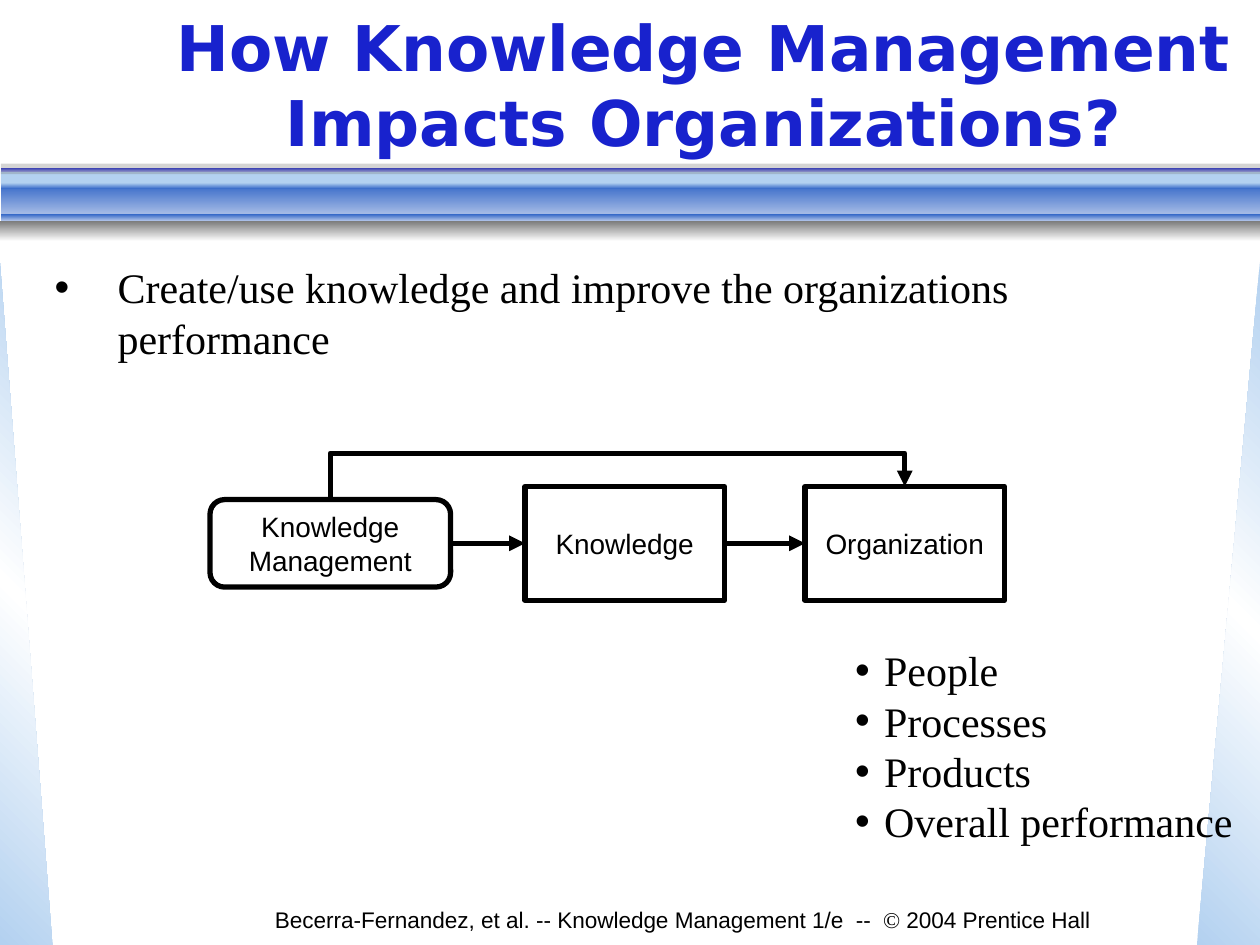
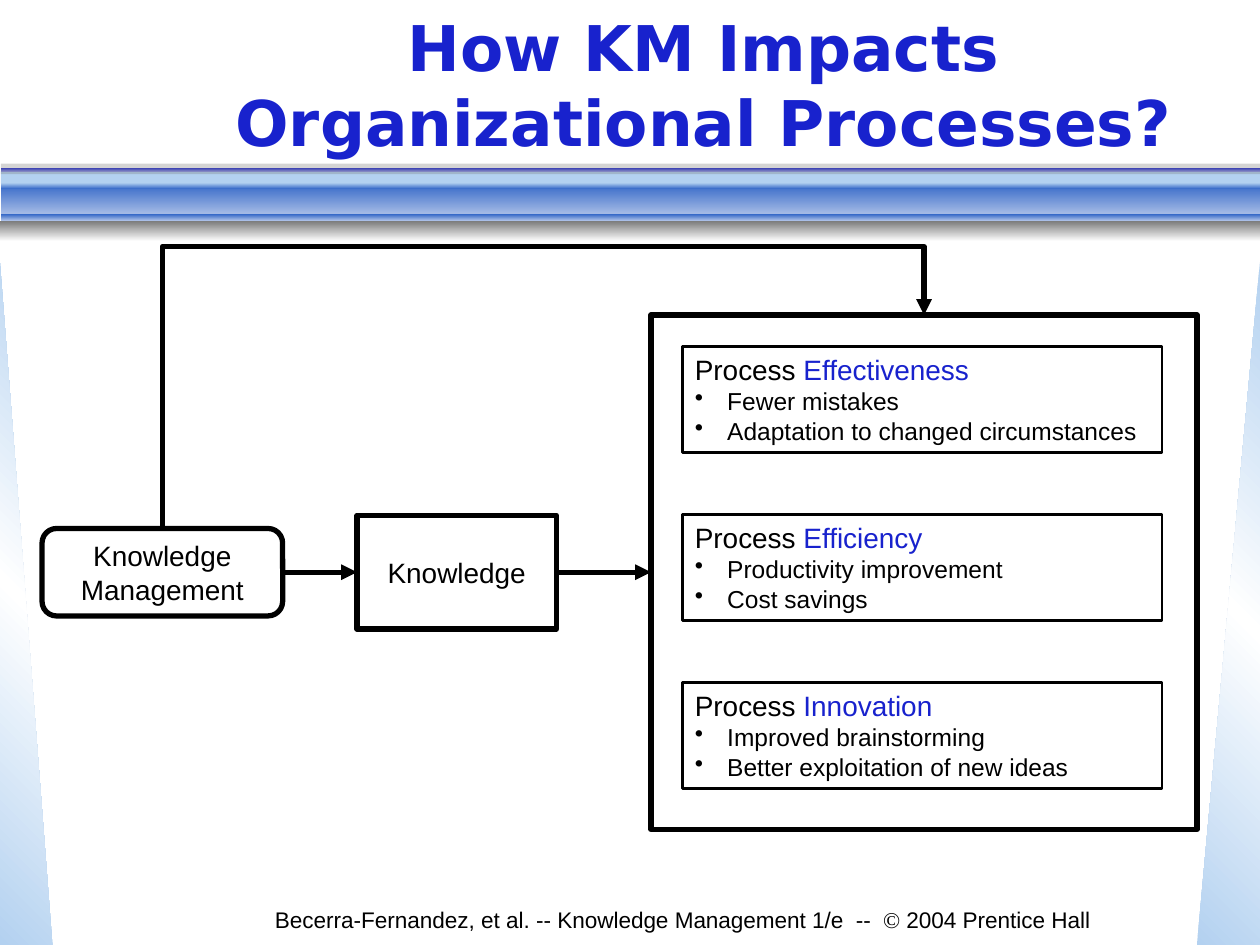
import pptx
import pptx.dml.color
import pptx.enum.shapes
import pptx.enum.text
import pptx.oxml.ns
import pptx.util
from dataclasses import dataclass
from lxml import etree

Pt = pptx.util.Pt
qn = pptx.oxml.ns.qn
Shape = pptx.enum.shapes.MSO_SHAPE
Link = pptx.enum.shapes.MSO_CONNECTOR
Align = pptx.enum.text.PP_ALIGN
Anchor = pptx.enum.text.MSO_ANCHOR
TOP, LEFT, RIGHT = 0, 1, 3


@dataclass(frozen=True)
class Theme:
    ink: str = "000000"
    blue: str = "1822CD"
    lilac: str = "878DE5"
    sky: str = "B3D1F0"
    mid: str = "3568C7"
    pale: str = "A9BEE7"
    grey: str = "777777"
    white: str = "FFFFFF"
    head: str = "DejaVu Sans"
    sans: str = "Arial"
    serif: str = "Times New Roman"
    title: float = 36
    list: float = 24
    label: float = 16
    item: float = 14
    foot: float = 12.9
    thick: float = 3
    thin: float = 1.5


T = Theme()

# Content
IMPACT = "How Knowledge Management Impacts Organizations?"
PROCESS = "How KM Impacts Organizational Processes?"
GOAL = ["Create/use knowledge and improve the organizations performance"]
AREAS = ["People", "Processes", "Products", "Overall performance"]
GAINS = [
    ("Effectiveness", ["Fewer mistakes", "Adaptation to changed circumstances"]),
    ("Efficiency", ["Productivity improvement", "Cost savings"]),
    ("Innovation", ["Improved brainstorming", "Better exploitation of new ideas"]),
]
FOOTER = [
    ("Becerra-Fernandez, et al. -- Knowledge Management 1/e  --  ", T.sans),
    ("©", T.serif),
    (" 2004 Prentice Hall", T.sans),
]

# Left, top, width, height
TITLE_BOX = (90, 6, 624, 84)
FOOT_BOX = (108, 516, 564, 24)
GOAL_BOX = (24, 146, 648, 65)
AREA_BOX = (462, 372, 256, 108)
GAIN_BOX = (372, 180, 312, 294)
KM_SIZE = (137.5, 50)
BOX_SIZE = (114, 65)

# Master art: top, height, gradient colours
BANDS = [
    (98, 7, [T.sky]),
    (105, 18, [T.mid, T.pale]),
    (96, 2, [T.blue, T.lilac]),
    (122.5, 3.5, [T.mid, T.pale]),
    (104.5, 3.5, [T.sky, T.mid]),
    (126, 12, [T.grey, T.white]),
    (93.5, 6, [T.grey]),
]
WEDGES = [(0, 30, 315), (684, 36, 45)]


def put(obj, **vals):
    for key, val in vals.items():
        setattr(obj, key, val)


def rgb(code):
    return pptx.dml.color.RGBColor.from_string(code)


def node(parent, tag, **attrs):
    return etree.SubElement(parent, qn(tag), attrs)


def place(shape, box):
    put(shape, **dict(zip(("left", "top", "width", "height"), map(Pt, box))))


def form(slide, kind, box, weight=0):
    """Add an unfilled shape, outlined when it has a line weight."""
    shape = slide.shapes.add_shape(kind, *map(Pt, box))
    shape.shadow.inherit = False
    shape.fill.background()
    if weight:
        shape.line.color.rgb = rgb(T.ink)
        shape.line.width = Pt(weight)
    else:
        shape.line.fill.background()
    return shape


def paint(shape, colours, angle=90):
    """Fill with one colour or with evenly spaced gradient stops."""
    if len(colours) == 1:
        shape.fill.solid()
        shape.fill.fore_color.rgb = rgb(colours[0])
        return
    shape.fill.gradient()
    stops = next(shape.element.iter(qn("a:gsLst")))
    for old in list(stops):
        stops.remove(old)
    for n, code in enumerate(colours):
        stop = node(stops, "a:gs", pos=str(n * 100000 // (len(colours) - 1)))
        node(stop, "a:srgbClr", val=code)
    next(shape.element.iter(qn("a:lin"))).set("ang", str(angle * 60000))


def setup(frame, anchor, inset=7.2):
    put(frame, word_wrap=True, vertical_anchor=anchor,
        auto_size=pptx.enum.text.MSO_AUTO_SIZE.NONE,
        margin_left=Pt(inset), margin_right=Pt(inset),
        margin_top=Pt(inset / 2), margin_bottom=Pt(inset / 2))


def para(frame, runs, size, first=False, bold=False, align=Align.LEFT,
         hang=None, left=0, space=1):
    """Write (text, font, colour) runs; a hang sets a bulleted indent."""
    line = frame.paragraphs[0] if first else frame.add_paragraph()
    if hang:
        props = line._p.get_or_add_pPr()
        props.set("marL", str(Pt(left)))
        props.set("indent", str(-Pt(hang)))
        node(props, "a:buChar", char="•")
    put(line, alignment=align, line_spacing=space, space_before=Pt(0))
    for text, font, colour in runs:
        run = line.add_run()
        run.text = text
        put(run.font, name=font, size=Pt(size), bold=bold)
        run.font.color.rgb = rgb(colour)


def bullets(shape, box, items, anchor, left, hang):
    place(shape, box)
    setup(shape.text_frame, anchor)
    for n, text in enumerate(items):
        para(shape.text_frame, [(text, T.serif, T.ink)], T.list,
             first=n == 0, left=left, hang=hang)


def label(slide, text, left, mid, size, kind=Shape.RECTANGLE):
    """Add a labelled box centred on the height mid."""
    wide, high = size
    shape = form(slide, kind, (left, mid - high / 2, wide, high), T.thick)
    setup(shape.text_frame, Anchor.MIDDLE)
    para(shape.text_frame, [(text, T.sans, T.ink)], T.label,
         first=True, align=Align.CENTER)
    return shape


def dress(line):
    """Give a connector its line, arrowhead and no shadow."""
    line.line.color.rgb = rgb(T.ink)
    line.line.width = Pt(T.thick)
    node(line.line._get_or_add_ln(), "a:tailEnd", type="triangle")
    node(line.element.spPr, "a:effectLst")


def arrow(slide, start, end):
    line = slide.shapes.add_connector(Link.STRAIGHT, 0, 0, 0, 0)
    line.begin_connect(start, RIGHT)
    line.end_connect(end, LEFT)
    dress(line)


def bypass(slide, start, end, level):
    """Run an elbow from top to top by way of the height level."""
    x1, x2 = (s.left + s.width // 2 for s in (start, end))
    wide, high = start.top - end.top, x2 - x1
    left = (x1 + x2 - wide) // 2
    top = (start.top + end.top - high) // 2
    line = slide.shapes.add_connector(
        Link.ELBOW, left + wide, top + high, left, top)
    line.element.spPr.find(qn("a:xfrm")).set("rot", str(90 * 60000))
    geom = line.element.spPr.find(qn("a:prstGeom"))
    guides = geom.find(qn("a:avLst"))
    if guides is None:
        guides = node(geom, "a:avLst")
    turn = (start.top - Pt(level)) * 100000 // wide
    node(guides, "a:gd", name="adj1", fmla=f"val {turn}")
    dress(line)


def chain(slide, left, mid):
    """Add the two boxes that open both diagrams."""
    source = label(slide, "Knowledge Management", left, mid, KM_SIZE,
                   Shape.ROUNDED_RECTANGLE)
    know = label(slide, "Knowledge", left + 180, mid, BOX_SIZE)
    arrow(slide, source, know)
    return source, know


def adorn(deck, slide):
    """Draw the wedges and bands, then move them to the slide master."""
    art = []
    for left, wide, angle in WEDGES:
        wedge = form(slide, Shape.RIGHT_TRIANGLE, (left, 150, wide, 390))
        paint(wedge, [T.sky, T.white, T.sky], angle)
        if left:
            wedge.element.spPr.find(qn("a:xfrm")).set("flipH", "1")
        art.append(wedge)
    for top, high, colours in BANDS:
        left = 0 if T.white in colours else 0.5
        band = form(slide, Shape.RECTANGLE, (left, top, 720 - left, high))
        paint(band, colours)
        art.append(band)
    tint = next(art[-1].element.iter(qn("a:srgbClr")))
    node(tint, "a:alpha", val="31000")
    for n, shape in enumerate(art):
        shape.element.nvSpPr.cNvPr.set("id", str(50 + n))
        deck.slide_master.shapes.element.append(shape.element)


def start(deck, layout, title):
    """Add a slide with its title and footer."""
    slide = deck.slides.add_slide(deck.slide_layouts[layout])
    head = slide.shapes.title
    place(head, TITLE_BOX)
    setup(head.text_frame, Anchor.MIDDLE, 0)
    para(head.text_frame, [(title, T.head, T.blue)], T.title,
         first=True, bold=True, align=Align.CENTER)
    foot = slide.shapes.add_textbox(*map(Pt, FOOT_BOX)).text_frame
    setup(foot, Anchor.TOP)
    para(foot, [(text, font, T.ink) for text, font in FOOTER], T.foot,
         first=True, align=Align.CENTER, space=0.9)
    return slide


def impact(deck):
    slide = start(deck, 3, IMPACT)
    adorn(deck, slide)
    goal, areas = list(slide.placeholders)[1:3]
    bullets(goal, GOAL_BOX, GOAL, Anchor.TOP, 36, 36)
    bullets(areas, AREA_BOX, AREAS, Anchor.MIDDLE, 36, 16.5)
    mid = 310.5
    source, know = chain(slide, 120, mid)
    firm = label(slide, "Organization", 460, mid, BOX_SIZE)
    arrow(slide, know, firm)
    bypass(slide, source, firm, 259)


def process(deck):
    slide = start(deck, 5, PROCESS)
    left, top, wide, high = GAIN_BOX
    source, know = chain(slide, 24, top + high / 2)
    group = form(slide, Shape.RECTANGLE, GAIN_BOX, T.thick)
    arrow(slide, know, group)
    bypass(slide, source, group, 141)
    for n, (name, items) in enumerate(GAINS):
        box = (left + 18, top + 18 + 96 * n, 274, 60.5)
        frame = form(slide, Shape.RECTANGLE, box, T.thin).text_frame
        setup(frame, Anchor.TOP)
        para(frame, [("Process ", T.sans, T.ink), (name, T.sans, T.blue)],
             T.label, first=True)
        for text in items:
            para(frame, [(text, T.sans, T.ink)], T.item, left=18.5, hang=18.5)


def main():
    deck = pptx.Presentation()
    put(deck, slide_width=Pt(720), slide_height=Pt(540))
    impact(deck)
    process(deck)
    deck.save("out.pptx")


if __name__ == "__main__":
    main()
